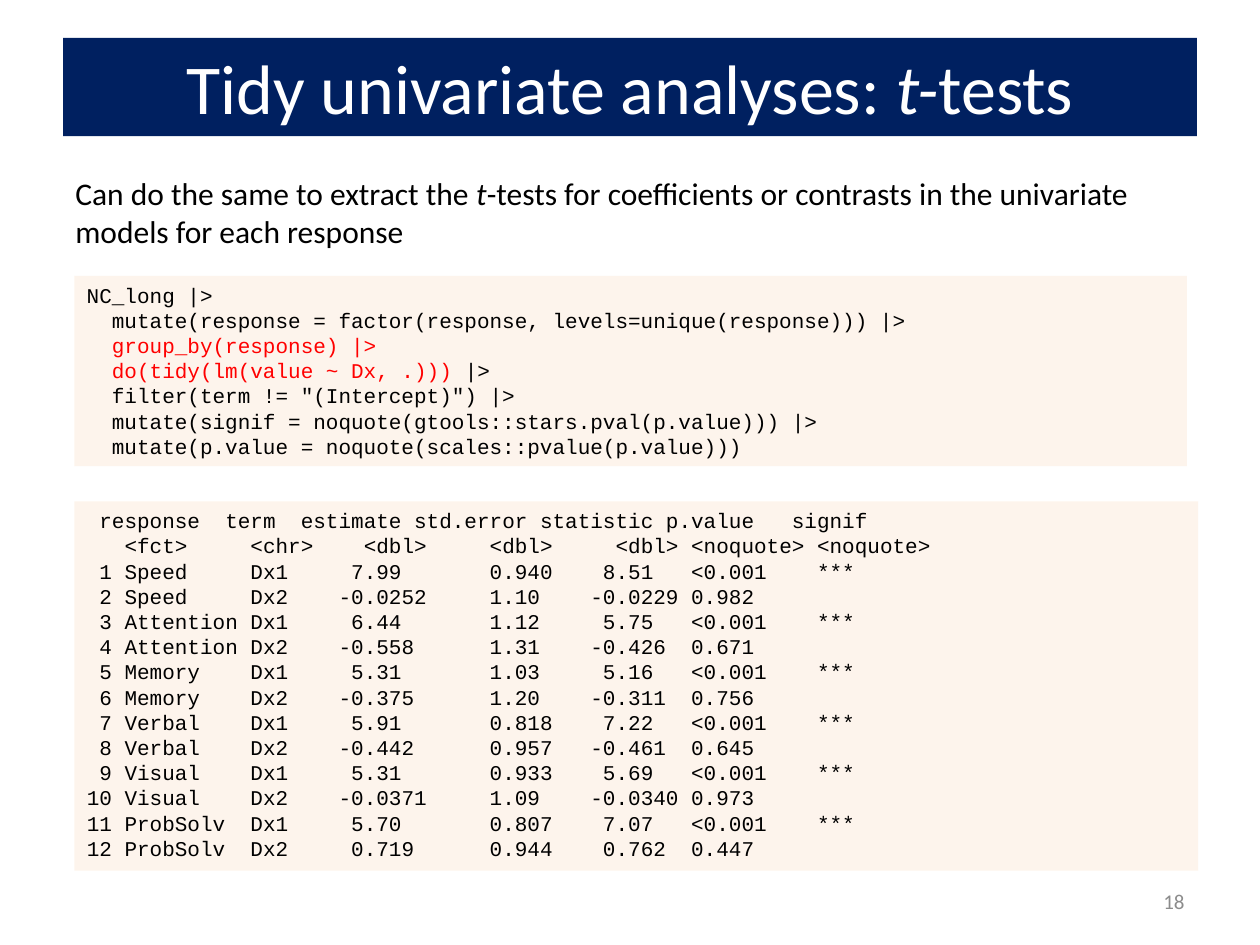
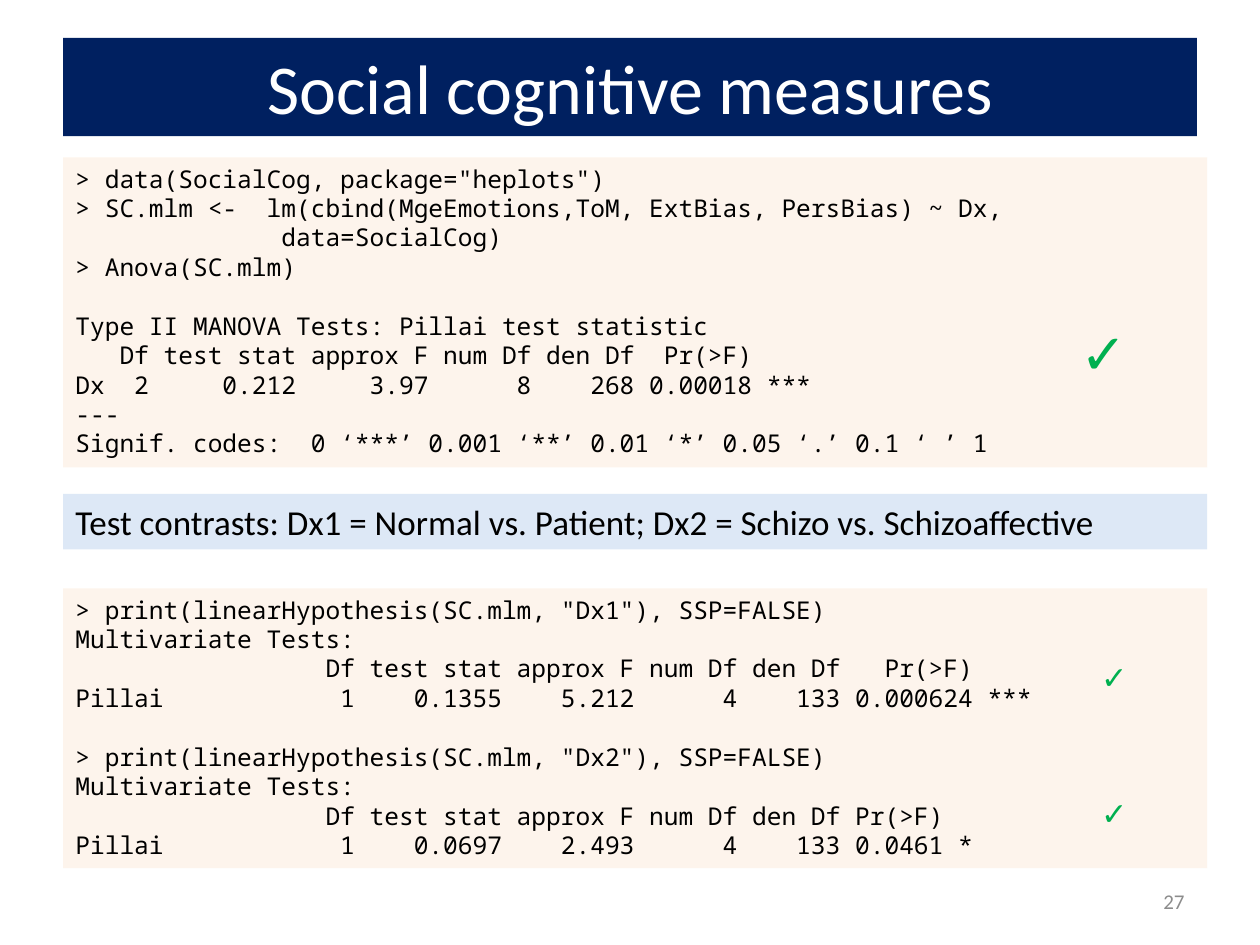
from dataclasses import dataclass

from lxml.etree import SubElement
from pptx import Presentation
from pptx.dml.color import RGBColor
from pptx.enum.text import MSO_ANCHOR, PP_ALIGN
from pptx.oxml.ns import qn
from pptx.util import Inches, Pt


@dataclass(frozen=True)
class Theme:
    band: str = "002060"
    on_band: str = "FFFFFF"
    ink: str = "000000"
    accent: str = "FF0000"
    muted: str = "8C8C8C"
    tick: str = "00B050"
    code_fill: tuple = ("FDEADA", 50)
    note_fill: tuple = ("558ED5", 20)
    sans: str = "Calibri"
    courier: str = "Courier New"
    mono: str = "Noto Sans Mono"
    title_size: int = 40
    note_size: int = 20
    body_size: int = 18
    console_size: int = 14
    small_size: int = 12
    big_tick_size: int = 32
    console_gap: float = 16.8


@dataclass(frozen=True)
class Box:
    left: float
    top: float
    width: float
    height: float

    def inner(self, dx, dy, width, height):
        return Box(self.left + dx, self.top + dy, width, height)

    def emu(self):
        return [Inches(v) for v in (self.left, self.top, self.width, self.height)]


THEME = Theme()
TITLE_BOX = Box(0.5, 0.3, 9, 0.78)
NUMBER_BOX = Box(7.17, 6.95, 2.33, 0.4)

TTEST_CODE = [
    ["NC_long |>"],
    ["  mutate(response = factor(response, levels=unique(response))) |>"],
    [("  group_by(response) |>", {"color": THEME.accent})],
    [("  do(tidy(lm(value ~ Dx, .))) ", {"color": THEME.accent}), "|>"],
    ['  filter(term != "(Intercept)") |>'],
    ["  mutate(signif = noquote(gtools::stars.pval(p.value))) |>"],
    ["  mutate(p.value = noquote(scales::pvalue(p.value)))"],
]

TTEST_HEAD = [
    [" response  term  estimate std.error statistic p.value   signif"],
    ["   <fct>     <chr>    <dbl>     <dbl>     <dbl> <noquote> <noquote>"],
]

TTEST_ROWS = [
    ("Speed", "Dx1", " 7.99", "0.940", " 8.51", "<0.001", "***"),
    ("Speed", "Dx2", "-0.0252", "1.10", "-0.0229", "0.982", ""),
    ("Attention", "Dx1", " 6.44", "1.12", " 5.75", "<0.001", "***"),
    ("Attention", "Dx2", "-0.558", "1.31", "-0.426", "0.671", ""),
    ("Memory", "Dx1", " 5.31", "1.03", " 5.16", "<0.001", "***"),
    ("Memory", "Dx2", "-0.375", "1.20", "-0.311", "0.756", ""),
    ("Verbal", "Dx1", " 5.91", "0.818", " 7.22", "<0.001", "***"),
    ("Verbal", "Dx2", "-0.442", "0.957", "-0.461", "0.645", ""),
    ("Visual", "Dx1", " 5.31", "0.933", " 5.69", "<0.001", "***"),
    ("Visual", "Dx2", "-0.0371", "1.09", "-0.0340", "0.973", ""),
    ("ProbSolv", "Dx1", " 5.70", "0.807", " 7.07", "<0.001", "***"),
    ("ProbSolv", "Dx2", " 0.719", "0.944", " 0.762", "0.447", ""),
]
TTEST_WIDTHS = (10, 7, 12, 8, 8, 10, 3)

ANOVA_CONSOLE = """\
> data(SocialCog, package="heplots")
> SC.mlm <-  lm(cbind(MgeEmotions,ToM, ExtBias, PersBias) ~ Dx,
              data=SocialCog)
> Anova(SC.mlm)

Type II MANOVA Tests: Pillai test statistic
   Df test stat approx F num Df den Df  Pr(>F)
Dx  2     0.212     3.97      8    268 0.00018 ***
---
Signif. codes:  0 ‘***’ 0.001 ‘**’ 0.01 ‘*’ 0.05 ‘.’ 0.1 ‘ ’ 1"""

CONTRAST_CONSOLE = """\
> print(linearHypothesis(SC.mlm, "Dx1"), SSP=FALSE)
Multivariate Tests:
                 Df test stat approx F num Df den Df   Pr(>F)
Pillai            1    0.1355    5.212      4    133 0.000624 ***

> print(linearHypothesis(SC.mlm, "Dx2"), SSP=FALSE)
Multivariate Tests:
                 Df test stat approx F num Df den Df Pr(>F)
Pillai            1    0.0697    2.493      4    133 0.0461 *"""


def ttest_line(number, row):
    cells = "".join(cell.ljust(w) for cell, w in zip(row, TTEST_WIDTHS))
    return [f"{number:2} {cells}".rstrip()]


def write(tf, paragraphs, size, font=THEME.sans, color=THEME.ink,
          align=PP_ALIGN.LEFT, anchor=MSO_ANCHOR.TOP, wrap=True, gap=0):
    tf.word_wrap = wrap
    tf.vertical_anchor = anchor
    p, space = tf.paragraphs[0], 0
    for i, runs in enumerate(paragraphs):
        if runs == [""]:
            space = gap
            continue
        if i:
            p = tf.add_paragraph()
        p.alignment = align
        if space:
            p.space_before = Pt(space)
            space = 0
        for run in runs:
            text, style = (run, {}) if isinstance(run, str) else run
            r = p.add_run()
            r.text = text
            r.font.name, r.font.size = font, Pt(size)
            r.font.italic = style.get("italic")
            r.font.color.rgb = RGBColor.from_string(style.get("color", color))


def fill_shape(sp, color, opacity=100):
    sp.fill.solid()
    sp.fill.fore_color.rgb = RGBColor.from_string(color)
    if opacity < 100:
        clr = next(sp.element.spPr.iter(qn("a:srgbClr")))
        SubElement(clr, qn("a:alpha"), val=str(opacity * 1000))


def add_text(s, box, paragraphs, size, fill=None, **fmt):
    sp = s.shapes.add_textbox(*box.emu())
    if fill:
        fill_shape(sp, *fill)
    write(sp.text_frame, paragraphs, size, **fmt)


def add_code(s, box, paragraphs):
    add_text(s, box, paragraphs, THEME.small_size, fill=THEME.code_fill,
             font=THEME.courier)


def add_console(s, box, text):
    add_text(s, box, [[line] for line in text.split("\n")], THEME.console_size,
             fill=THEME.code_fill, font=THEME.mono, gap=THEME.console_gap)


def add_tick(s, box, size):
    add_text(s, box, [["✓"]], size, color=THEME.tick,
             align=PP_ALIGN.CENTER, wrap=False)


def add_slide(prs, title, number):
    s = prs.slides.add_slide(prs.slide_layouts[5])
    sp = s.shapes.title
    sp.left, sp.top, sp.width, sp.height = TITLE_BOX.emu()
    fill_shape(sp, THEME.band)
    write(sp.text_frame, [title], THEME.title_size, color=THEME.on_band,
          align=PP_ALIGN.CENTER, anchor=MSO_ANCHOR.MIDDLE)
    add_text(s, NUMBER_BOX, [[str(number)]], THEME.small_size, color=THEME.muted,
             align=PP_ALIGN.RIGHT, anchor=MSO_ANCHOR.MIDDLE)
    return s


def build_ttests(prs):
    italic = {"italic": True}
    s = add_slide(prs, ["Tidy univariate analyses: ", ("t-", italic), "tests"], 18)
    add_text(s, Box(0.5, 1.33, 9, 0.71), [[
        "Can do the same to extract the ", ("t", italic),
        "-tests for coefficients or contrasts in the univariate "
        "models for each response"]], THEME.body_size)
    add_code(s, Box(0.59, 2.19, 8.83, 1.51), TTEST_CODE)
    results = [ttest_line(n, row) for n, row in enumerate(TTEST_ROWS, 1)]
    add_code(s, Box(0.59, 3.98, 8.92, 2.93), TTEST_HEAD + results)


def build_social(prs):
    s = add_slide(prs, ["Social cognitive measures"], 27)
    anova = Box(0.5, 1.25, 9.08, 2.46)
    contrasts = Box(0.5, 4.67, 9.08, 2.22)
    add_console(s, anova, ANOVA_CONSOLE)
    add_text(s, Box(0.5, 3.92, 9.08, 0.44), [[
        "Test contrasts: Dx1 = Normal vs. Patient; "
        "Dx2 = Schizo vs. Schizoaffective"]],
        THEME.note_size, fill=THEME.note_fill)
    add_console(s, contrasts, CONTRAST_CONSOLE)
    add_tick(s, anova.inner(7.98, 1.23, 0.55, 0.64), THEME.big_tick_size)
    for dy in (0.5, 1.58):
        add_tick(s, contrasts.inner(8.14, dy, 0.4, 0.4), THEME.body_size)


def main():
    prs = Presentation()
    prs.slide_width, prs.slide_height = Inches(10), Inches(7.5)
    build_ttests(prs)
    build_social(prs)
    prs.save("out.pptx")


if __name__ == "__main__":
    main()
